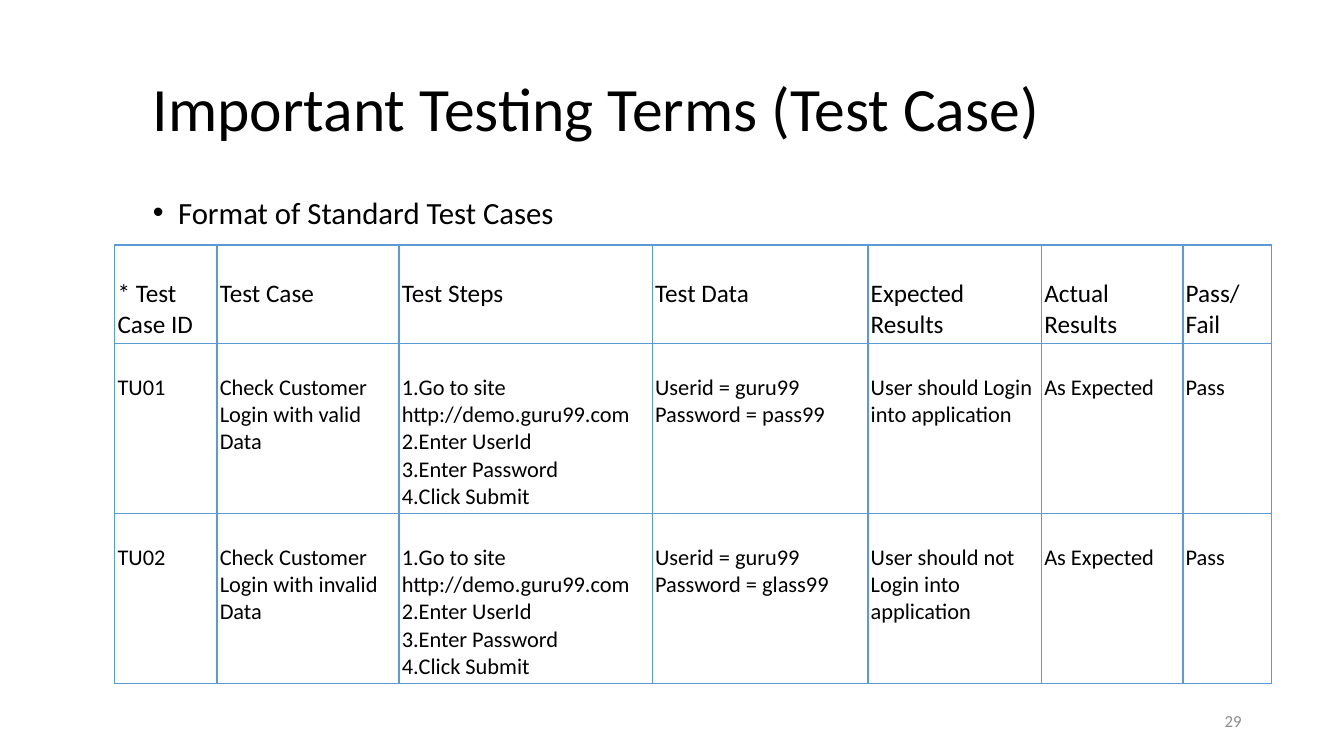
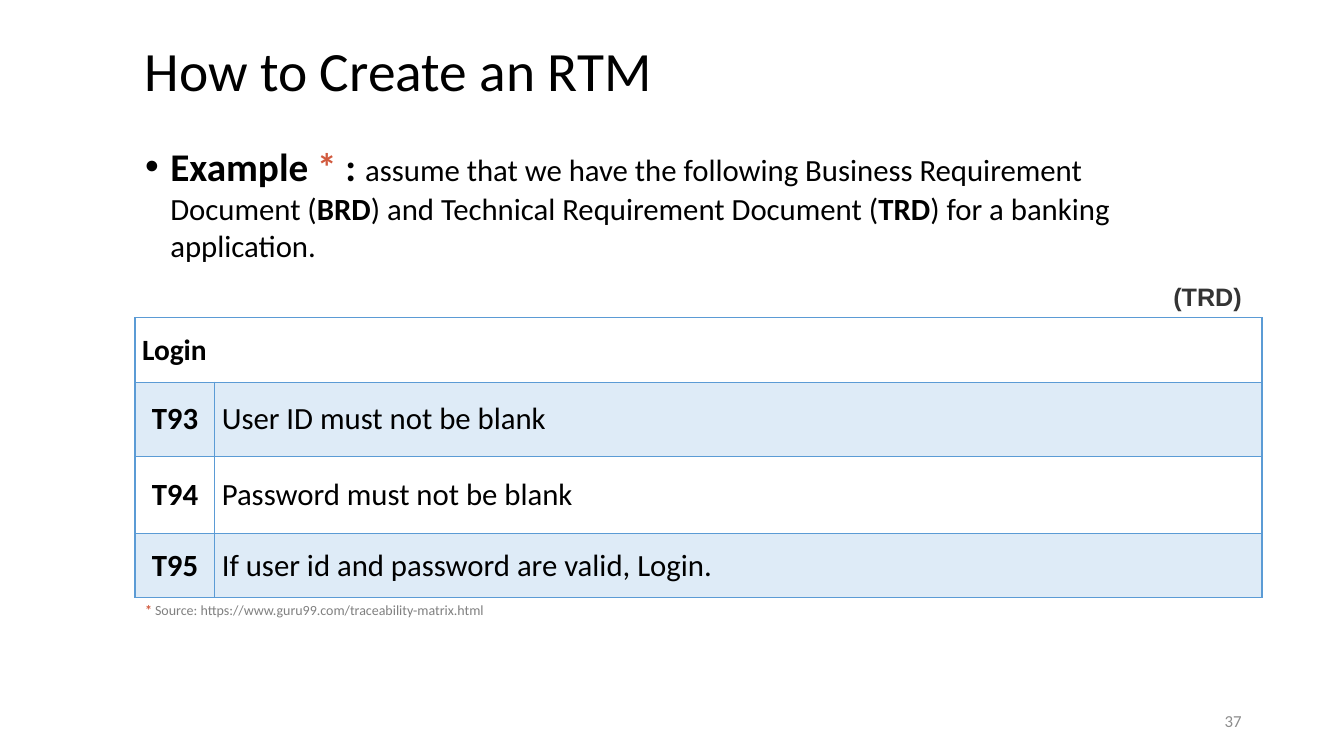
from lxml import etree
from pptx import Presentation
from pptx import util as u
from pptx.dml.color import RGBColor
from pptx.enum import text
from pptx.oxml.ns import qn

Pt = u.Pt
BLACK, ACCENT, BAND = "000000", "5B9BD5", "DEEBF7"
RED, GREY, DARK, PAGE = "D15A3E", "808080", "343434", "8C8C8C"
LEFT, CENTER, RIGHT = text.PP_ALIGN.LEFT, text.PP_ALIGN.CENTER, text.PP_ALIGN.RIGHT
MIDDLE, TOP = text.MSO_ANCHOR.MIDDLE, text.MSO_ANCHOR.TOP


def rgb(color):
    return RGBColor.from_string(color)


class Deck:
    """Holds the style and the current slide."""
    font = "Calibri"

    def __init__(self):
        self.prs = Presentation()
        self.prs.slide_width, self.prs.slide_height = Pt(960), Pt(540)

    def slide(self, number):
        self.s = self.prs.slides.add_slide(self.prs.slide_layouts[1])
        self.label(678, 500, 216, 29, [(str(number), 12, PAGE)], RIGHT)

    # Text
    def run(self, p, words, size, color=BLACK, bold=False, font=None):
        for i, line in enumerate(words.split("\n")):
            if i:
                p.add_line_break()
                etree.SubElement(p._p[-1], qn("a:rPr"), sz=str(size * 100))
            r = p.add_run()
            r.text = line
            r.font.name, r.font.size = font or self.font, Pt(size)
            r.font.bold, r.font.color.rgb = bold, rgb(color)

    def place(self, sp, x, y, w, h, anchor):
        sp.left, sp.top, sp.width, sp.height = Pt(x), Pt(y), Pt(w), Pt(h)
        tf = sp.text_frame
        tf.word_wrap, tf.auto_size = True, text.MSO_AUTO_SIZE.NONE
        tf.vertical_anchor = anchor
        return tf.paragraphs[0]

    def title(self, words, x, y, h, size):
        p = self.place(self.s.shapes.title, x, y, 756, h, MIDDLE)
        p.alignment, p.line_spacing = LEFT, 0.9
        self.run(p, words, size)

    def body(self, runs, x, y, h):
        p = self.place(self.s.placeholders[1], x, y, 756, h, TOP)
        p.space_before = Pt(0)
        pPr = p._p.get_or_add_pPr()
        pPr.set("marL", str(Pt(18)))
        pPr.set("indent", str(Pt(-18)))
        etree.SubElement(pPr, qn("a:buFont"), typeface="Arial")
        etree.SubElement(pPr, qn("a:buChar"), char="•")
        for item in runs:
            self.run(p, *item)

    def label(self, x, y, w, h, runs, align=LEFT, anchor=MIDDLE, wrap=True):
        sp = self.s.shapes.add_textbox(Pt(x), Pt(y), Pt(w), Pt(h))
        p = self.place(sp, x, y, w, h, anchor)
        sp.text_frame.word_wrap = wrap
        p.alignment = align
        for item in runs:
            self.run(p, *item)

    # Tables
    def table(self, x, y, cols, rows):
        t = self.s.shapes.add_table(len(rows), len(cols), Pt(x), Pt(y),
                                    Pt(sum(cols)), Pt(sum(rows))).table
        t.first_row = t.horz_banding = False
        for col, w in zip(t.columns, cols):
            col.width = Pt(w)
        for row, h in zip(t.rows, rows):
            row.height = Pt(h)
        return t

    def cell(self, c, lines, size, margins, bold=False, align=LEFT,
             anchor=TOP, fill=None):
        c.margin_left = c.margin_right = Pt(margins[0])
        c.margin_top, c.margin_bottom = Pt(margins[1]), Pt(margins[2])
        c.vertical_anchor = anchor
        self.borders(c)
        if fill:
            c.fill.solid()
            c.fill.fore_color.rgb = rgb(fill)
        else:
            c.fill.background()
        tf = c.text_frame
        for i, line in enumerate(lines):
            p = tf.add_paragraph() if i else tf.paragraphs[0]
            p.alignment = align
            if len(lines) > 1:  # numbered steps
                etree.SubElement(p._p.get_or_add_pPr(), qn("a:buAutoNum"),
                                 type="arabicPeriod")
            self.run(p, line, size, bold=bold)

    def borders(self, c):
        tcPr = c._tc.get_or_add_tcPr()
        for i, side in enumerate(("lnL", "lnR", "lnT", "lnB")):
            ln = etree.Element(qn("a:" + side), w=str(Pt(1)))
            fill = etree.SubElement(ln, qn("a:solidFill"))
            etree.SubElement(fill, qn("a:srgbClr"), val=ACCENT)
            tcPr.insert(i, ln)


def test_case_slide(d):
    d.slide(29)
    d.title("Important Testing Terms (Test Case)", 102, 35, 90, 44)
    d.body([("Format of Standard Test Cases", 22)], 102, 134.5, 328)

    heads = ["* Test Case ID", "Test Case", "Test Steps", "Test Data",
             "Expected Results", "Actual Results", "Pass/\nFail"]
    steps = ["Go to site\nhttp://demo.guru99.com", "Enter UserId",
             "Enter Password", "Click Submit"]
    cases = [("TU01", "valid", "pass99", "User should Login into application"),
             ("TU02", "invalid", "glass99",
              "User should not Login into application")]
    t = d.table(82, 175, [73, 130, 181, 154, 124, 101, 63], [70.5, 121.5, 121.5])
    for col, head in enumerate(heads):
        d.cell(t.cell(0, col), [head], 18, (2, 24, 2))
    for row, (case, kind, password, expected) in enumerate(cases, 1):
        values = [[case], [f"Check Customer Login with {kind} Data"], steps,
                  [f"Userid = guru99 Password = {password}"], [expected],
                  ["As Expected"], ["Pass"]]
        for col, lines in enumerate(values):
            d.cell(t.cell(row, col), lines, 16, (2, 21.5, 2))


def rtm_slide(d):
    d.slide(37)
    d.title("How to Create an RTM", 96, 27, 51, 39.6)
    d.body([("Example", 28, BLACK, True), (" * ", 28, RED, True),
            (": ", 28, BLACK, True),
            ("assume that we have the following Business Requirement Document (", 22),
            ("BRD", 22, BLACK, True),
            (") and Technical Requirement Document (", 22),
            ("TRD", 22, BLACK, True),
            (") for a banking application.", 22)], 96.5, 98, 300)

    # Login requirements
    needs = [("T93", "User ID must not be blank"),
             ("T94", "Password must not be blank"),
             ("T95", "If user id and password are valid, Login.")]
    t = d.table(96.5, 227, [57, 748], [46, 53, 55, 46])
    margins = (5, 0, 0)
    t.cell(0, 0).merge(t.cell(0, 1))
    d.borders(t.cell(0, 1))
    d.cell(t.cell(0, 0), ["Login"], 21, margins, True, LEFT, MIDDLE)
    for row, (code, need) in enumerate(needs, 1):
        fill = BAND if row % 2 else None
        d.cell(t.cell(row, 0), [code], 22, margins, True, CENTER, MIDDLE, fill)
        d.cell(t.cell(row, 1), [need], 22, margins, False, LEFT, MIDDLE, fill)

    # Source line and table label
    d.label(96.5, 425, 707, 22, [
        ("*", 10, RED, True),
        (" Source: https://www.guru99.com/traceability-matrix.html", 10, GREY)])
    d.label(831, 197.5, 64, 29, [("(TRD)", 18, DARK, True, "Arial")],
            anchor=TOP, wrap=False)


def main():
    d = Deck()
    test_case_slide(d)
    rtm_slide(d)
    d.prs.save("out.pptx")


if __name__ == "__main__":
    main()
